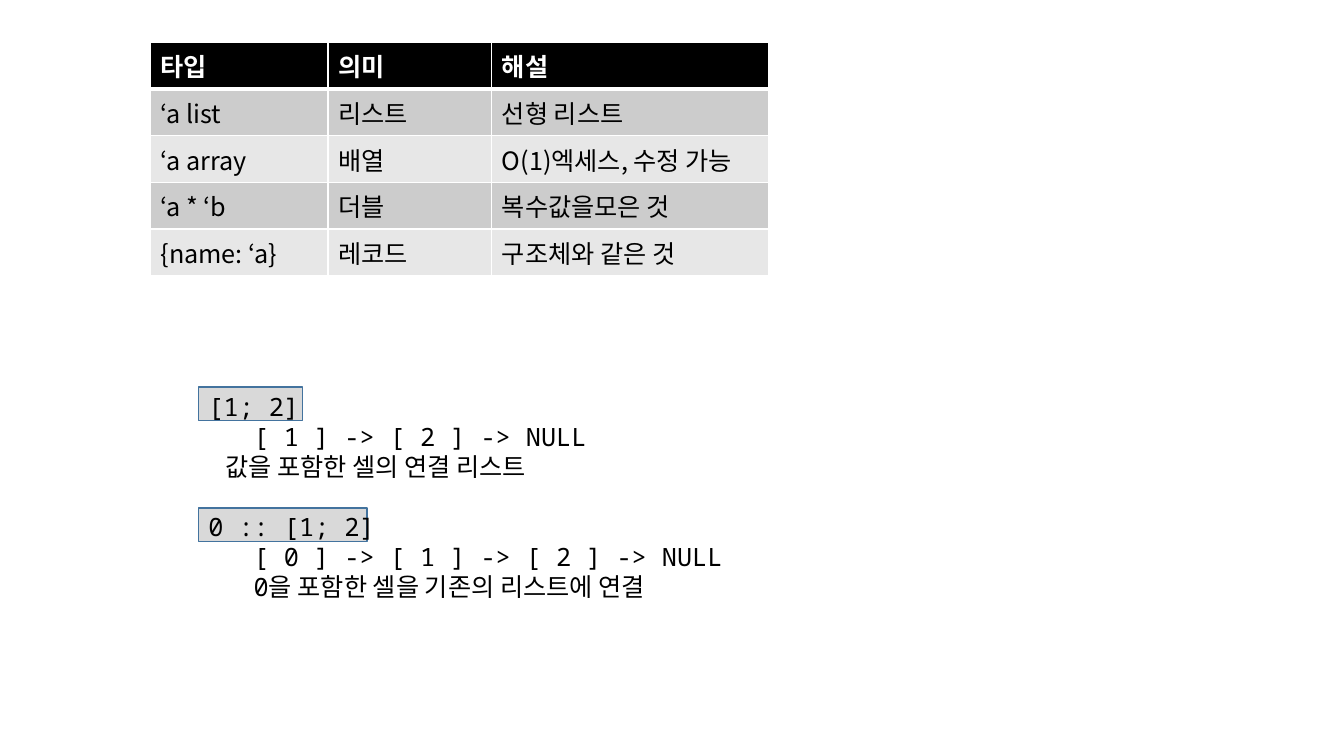
from dataclasses import dataclass

from lxml.etree import SubElement
from pptx import Presentation
from pptx.dml.color import RGBColor
from pptx.enum.shapes import MSO_SHAPE as Preset
from pptx.enum.text import MSO_ANCHOR as Anchor
from pptx.oxml.ns import qn
from pptx.util import Pt

COLOURS = {
    "text": "000000", "header": "000000", "white": "FFFFFF",
    "odd_row": "CCCCCC", "even_row": "E7E7E7",
    "code_fill": "D9D9D9", "code_line": "43739E",
}
KOREAN, MONO = "Noto Sans CJK KR", "Noto Sans Mono"
LINE_HEIGHT = 21.5

TABLE_ROWS = [
    ("타입", "의미", "해설"),
    ("‘a list", "리스트", "선형 리스트"),
    ("‘a array", "배열", "O(1)엑세스, 수정 가능"),
    ("‘a * ‘b", "더블", "복수값을모은 것"),
    ("{name: ‘a}", "레코드", "구조체와 같은 것"),
]
COLUMN_WIDTHS = (126.8, 117, 198)
ROW_HEIGHT = 31


@dataclass
class CodeBox:
    top: float
    width: float


@dataclass
class Line:
    text: str
    indent: float = 0
    space_before: float = 0


CODE_BOXES = [CodeBox(276.5, 74.5), CodeBox(362.8, 120.5)]
LINES = [
    Line("[1; 2]"),
    Line("[ 1 ] -> [ 2 ] -> NULL", 32.4),
    Line("값을 포함한 셀의 연결 리스트", 12),
    Line("0 :: [1; 2]", space_before=LINE_HEIGHT),
    Line("[ 0 ] -> [ 1 ] -> [ 2 ] -> NULL", 32.4),
    Line("0을 포함한 셀을 기존의 리스트에 연결", 32.4),
]


def colour(name: str) -> RGBColor:
    return RGBColor.from_string(COLOURS[name])


def set_format(target, values: dict) -> None:
    for name, value in values.items():
        setattr(target, name, value)


def add_run(paragraph, text: str, font_name: str, colour_name: str, bold=False) -> None:
    run = paragraph.add_run()
    run.text = text
    set_format(run.font, {"size": Pt(18), "name": font_name, "bold": bold})
    run.font.color.rgb = colour(colour_name)
    # Hangul uses the East Asian font slot
    SubElement(run.font._element, qn("a:ea"), typeface=KOREAN)


def add_borders(cell, widths: dict) -> None:
    properties = cell._tc.get_or_add_tcPr()
    for side, width in widths.items():
        border = SubElement(properties, qn(f"a:ln{side}"), w=str(Pt(width)))
        fill = SubElement(border, qn("a:solidFill"))
        SubElement(fill, qn("a:srgbClr"), val=COLOURS["white"])


def add_type_table(slide) -> None:
    row_count = len(TABLE_ROWS)
    table = slide.shapes.add_table(
        row_count, len(COLUMN_WIDTHS), Pt(107.5), Pt(30.5),
        Pt(sum(COLUMN_WIDTHS)), Pt(ROW_HEIGHT * row_count)).table
    for column, width in zip(table.columns, COLUMN_WIDTHS):
        column.width = Pt(width)
    for row_index, texts in enumerate(TABLE_ROWS):
        is_header = row_index == 0
        fill_name = "header" if is_header else ("even_row", "odd_row")[row_index % 2]
        for column_index, text in enumerate(texts):
            cell = table.cell(row_index, column_index)
            add_borders(cell, {"L": 1, "R": 1, "T": 3 if row_index == 1 else 1,
                               "B": 3 if is_header else 1})
            cell.fill.solid()
            cell.fill.fore_color.rgb = colour(fill_name)
            add_run(cell.text_frame.paragraphs[0], text, KOREAN,
                    "white" if is_header else "text", is_header)


def add_code_box(slide, box: CodeBox) -> None:
    shape = slide.shapes.add_shape(
        Preset.RECTANGLE, Pt(141.8), Pt(box.top), Pt(box.width), Pt(24))
    shape.shadow.inherit = False
    shape.fill.solid()
    shape.fill.fore_color.rgb = colour("code_fill")
    shape.line.color.rgb = colour("code_line")
    shape.line.width = Pt(1)


def add_list_text(slide) -> None:
    frame = slide.shapes.add_textbox(
        Pt(141.8), Pt(274.3), Pt(388.8), Pt(203.8)).text_frame
    set_format(frame, {"word_wrap": True, "vertical_anchor": Anchor.TOP,
                       "margin_top": Pt(5)})
    for index, line in enumerate(LINES):
        paragraph = frame.add_paragraph() if index else frame.paragraphs[0]
        set_format(paragraph, {"line_spacing": Pt(LINE_HEIGHT),
                               "space_before": Pt(line.space_before)})
        paragraph._p.get_or_add_pPr().set("marL", str(Pt(line.indent)))
        add_run(paragraph, line.text, MONO, "text")


def main() -> None:
    presentation = Presentation()
    set_format(presentation, {"slide_width": Pt(960), "slide_height": Pt(540)})
    # The slide has no title, so it uses the blank layout
    slide = presentation.slides.add_slide(presentation.slide_layouts[6])

    # Table of types
    add_type_table(slide)

    # Code highlights behind the list notes
    for box in CODE_BOXES:
        add_code_box(slide, box)
    add_list_text(slide)

    presentation.save("out.pptx")


if __name__ == "__main__":
    main()
